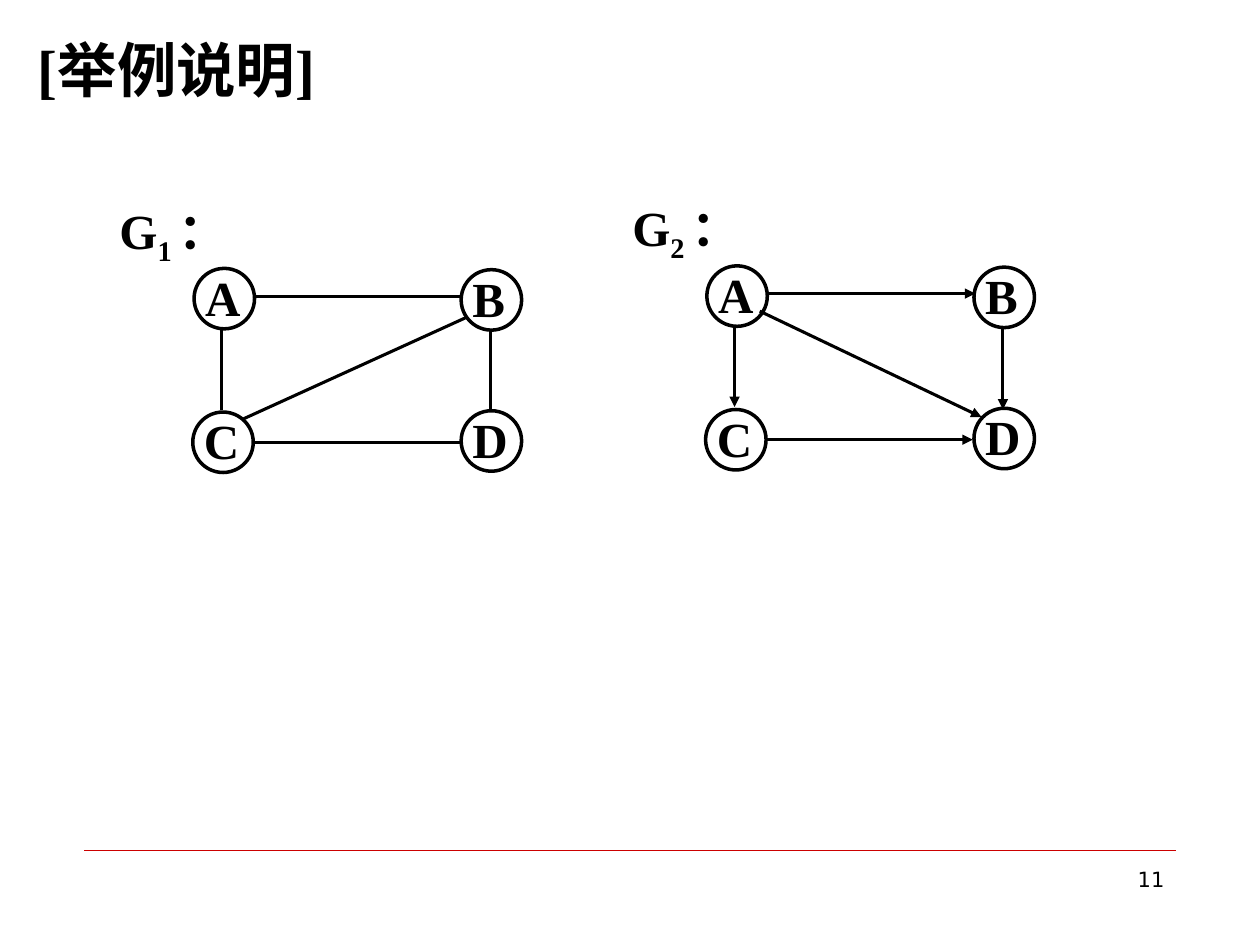
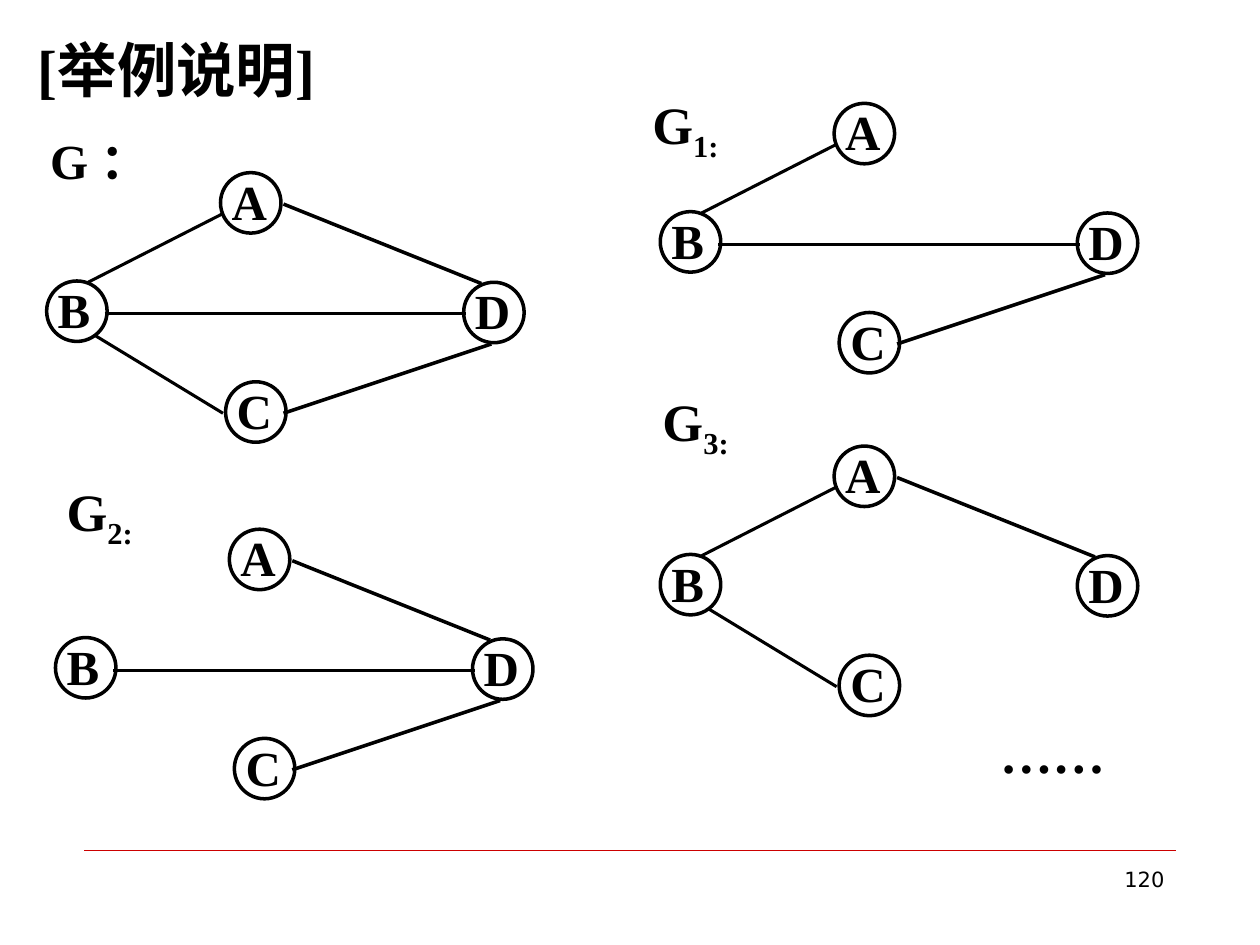
from pptx import Presentation
from pptx.dml.color import RGBColor
from pptx.enum.shapes import MSO_CONNECTOR as Connector, MSO_SHAPE as Shape
from pptx.enum.text import MSO_ANCHOR as Anchor, MSO_AUTO_SIZE as AutoSize, PP_ALIGN as Align
from pptx.oxml.ns import qn
from pptx.util import Inches, Pt
from lxml.etree import SubElement

BLACK = RGBColor(0x00, 0x00, 0x00)
RED = RGBColor(0xCC, 0x00, 0x00)
SERIF, SANS, CHINESE = "Times New Roman", "DejaVu Sans", "Noto Sans CJK SC"
WIDTH, HEIGHT = Inches(10), Inches(7.5)
COLUMN, ROW = WIDTH // 100, HEIGHT // 75
NODE_SIZE = 4.8
LETTER_BOX = (-0.1, -0.6, 7.2, 6.2)

SQUARE_NODES = {"B": (21.3, 0.1), "A": (0.1, 0), "D": (21.3, 11.3), "C": (0, 11.4)}
SQUARE_EDGES = {
    "AB": (4.8, 2.2, 21.4, 2.2, 1.75),
    "CD": (4.7, 13.8, 21.2, 13.8, 1.75),
    "AC": (2.3, 4.7, 2.3, 11.2, 1.75),
    "BD": (23.6, 4.8, 23.6, 11.4, 1.75),
    "BC": (3.9, 12, 21.7, 3.9, 1.75),
    "AD": (4.3, 3.6, 21.9, 12, 1.75),
}
DIAMOND_NODES = {"B": (0, 8.6), "A": (13.8, 0), "D": (33.1, 8.7), "C": (14.2, 16.6)}
DIAMOND_EDGES = {
    "AB": (3.3, 8.7, 13.9, 3.3, 1.75),
    "BC": (3.8, 12.9, 14, 19.1, 1.75),
    "AD": (18.8, 2.5, 34.5, 8.8, 2),
    "CD": (18.8, 19.1, 35.3, 13.6, 2),
    "BD": (4.6, 11.2, 33.3, 11.2, 2),
}


def grid(left, top, width, height):
    """Turn columns and rows into slide lengths."""
    return [round(left * COLUMN), round(top * ROW), round(width * COLUMN), round(height * ROW)]


def add_run(paragraph, text, size, font=SERIF, bold=True, subscript=False):
    """Add one formatted run to a paragraph."""
    run = paragraph.add_run()
    run.text = text
    run.font.size, run.font.bold, run.font.name = Pt(size), bold, font
    run.font.color.rgb = BLACK
    properties = run._r.get_or_add_rPr()
    SubElement(properties, qn("a:ea"), typeface=CHINESE)
    if subscript:
        properties.set("baseline", "-25000")


def add_text(shapes, box, texts, size, align=Align.LEFT, **style):
    """Add a text box; every second text is a subscript."""
    frame = shapes.add_textbox(*grid(*box)).text_frame
    frame.word_wrap = True
    paragraph = frame.paragraphs[0]
    paragraph.alignment = align
    for index, text in enumerate(texts):
        add_run(paragraph, text, size, subscript=index % 2 == 1, **style)


def add_line(shapes, start_x, start_y, end_x, end_y, weight, color=BLACK, arrow=False):
    """Add a straight line, with an arrowhead at its end if asked."""
    line = shapes.add_connector(
        Connector.STRAIGHT, *grid(start_x, start_y, end_x, end_y))
    line.line.color.rgb, line.line.width = color, Pt(weight)
    if arrow:
        SubElement(line.line._get_or_add_ln(), qn("a:tailEnd"), type="triangle")
    SubElement(line.element.spPr, qn("a:effectLst"))
    return line


def add_node(shapes, left, top, letter):
    """Add a ringed vertex with its letter."""
    ring = shapes.add_shape(Shape.OVAL, *grid(left, top, NODE_SIZE, NODE_SIZE))
    ring.shadow.inherit = False
    ring.fill.background()
    ring.line.color.rgb, ring.line.width = BLACK, Pt(2)
    shift_x, shift_y, width, height = LETTER_BOX
    add_text(shapes, (left + shift_x, top + shift_y, width, height), [letter], 28)


def add_graph(slide, origin, nodes, edges, label, label_box, label_size, arrow=False):
    """Group the vertices, edges and label of one graph at its origin."""
    shapes = slide.shapes.add_group_shape().shapes
    left, top = origin
    for letter, (x, y) in nodes.items():
        add_node(shapes, left + x, top + y, letter)
    for start_x, start_y, end_x, end_y, weight in edges:
        add_line(shapes, left + start_x, top + start_y, left + end_x, top + end_y,
                 weight, arrow=arrow)
    add_text(shapes, label_box, label, label_size)


def add_square(slide, origin, label, edges, arrow=False):
    """Add a four-cornered graph with its label above the left side."""
    left, top = origin
    add_graph(slide, origin, SQUARE_NODES, [SQUARE_EDGES[edge] for edge in edges],
              label, (left - 6.8, top - 5.9, 11, 6.9), 28, arrow)


def add_diamond(slide, origin, label, label_box, edges, label_size=30):
    """Add a diamond graph holding the chosen edges."""
    add_graph(slide, origin, DIAMOND_NODES, [DIAMOND_EDGES[edge] for edge in edges],
              label, label_box, label_size)


def add_slide(presentation, layout, number):
    """Add a slide with the shared heading and its number."""
    slide = presentation.slides.add_slide(layout)
    title = slide.shapes.title
    title.left, title.top, title.width, title.height = grid(2, 2.1, 96.1, 9)
    frame = title.text_frame
    frame.auto_size, frame.vertical_anchor = AutoSize.NONE, Anchor.TOP
    frame.paragraphs[0].alignment = Align.LEFT
    add_run(frame.paragraphs[0], "[举例说明]", 34)
    add_text(slide.shapes, (71.7, 68.3, 21.7, 5.2), [number], 12, Align.RIGHT,
             font=SANS, bold=False)
    return slide


def build_kinds(presentation, layout):
    """Show an undirected and a directed graph side by side."""
    slide = add_slide(presentation, layout, "11")
    rule = add_line(slide.shapes, 6.7, 67.5, 93.3, 67.5, 0.25, RED)
    layout.shapes.element.append(rule.element)
    add_square(slide, (15.3, 21.3), ["G", "1 ", "："], ["AB", "CD", "AC", "BD", "BC"])
    add_square(slide, (56, 21.1), ["G", "2 ", "："], ["AB", "CD", "AC", "BD", "AD"], True)


def build_spanning_trees(presentation, layout):
    """Show a graph and three of its spanning trees."""
    slide = add_slide(presentation, layout, "120")
    add_diamond(slide, (3.7, 13.7), ["G ："], (3, 9.9, 10.8, 6.9), DIAMOND_EDGES, 28)
    add_diamond(slide, (52.4, 8.2), ["G", "1:"], (50.8, 6.8, 9.4, 6.7), ["AB", "CD", "BD"])
    add_diamond(slide, (4.4, 42), ["G", "2:"], (4.3, 37.5, 9.4, 6.7), ["AD", "CD", "BD"])
    add_diamond(slide, (52.4, 35.4), ["G", "3:"], (51.6, 30.4, 9.4, 6.7), ["AB", "BC", "AD"])
    add_text(slide.shapes, (78.4, 56.7, 11, 6), ["……"], 30)


def main():
    """Build and save the presentation."""
    presentation = Presentation()
    presentation.slide_width, presentation.slide_height = WIDTH, HEIGHT
    layout = presentation.slide_layouts.get_by_name("Title Only")
    build_kinds(presentation, layout)
    build_spanning_trees(presentation, layout)
    presentation.save("out.pptx")


if __name__ == "__main__":
    main()
